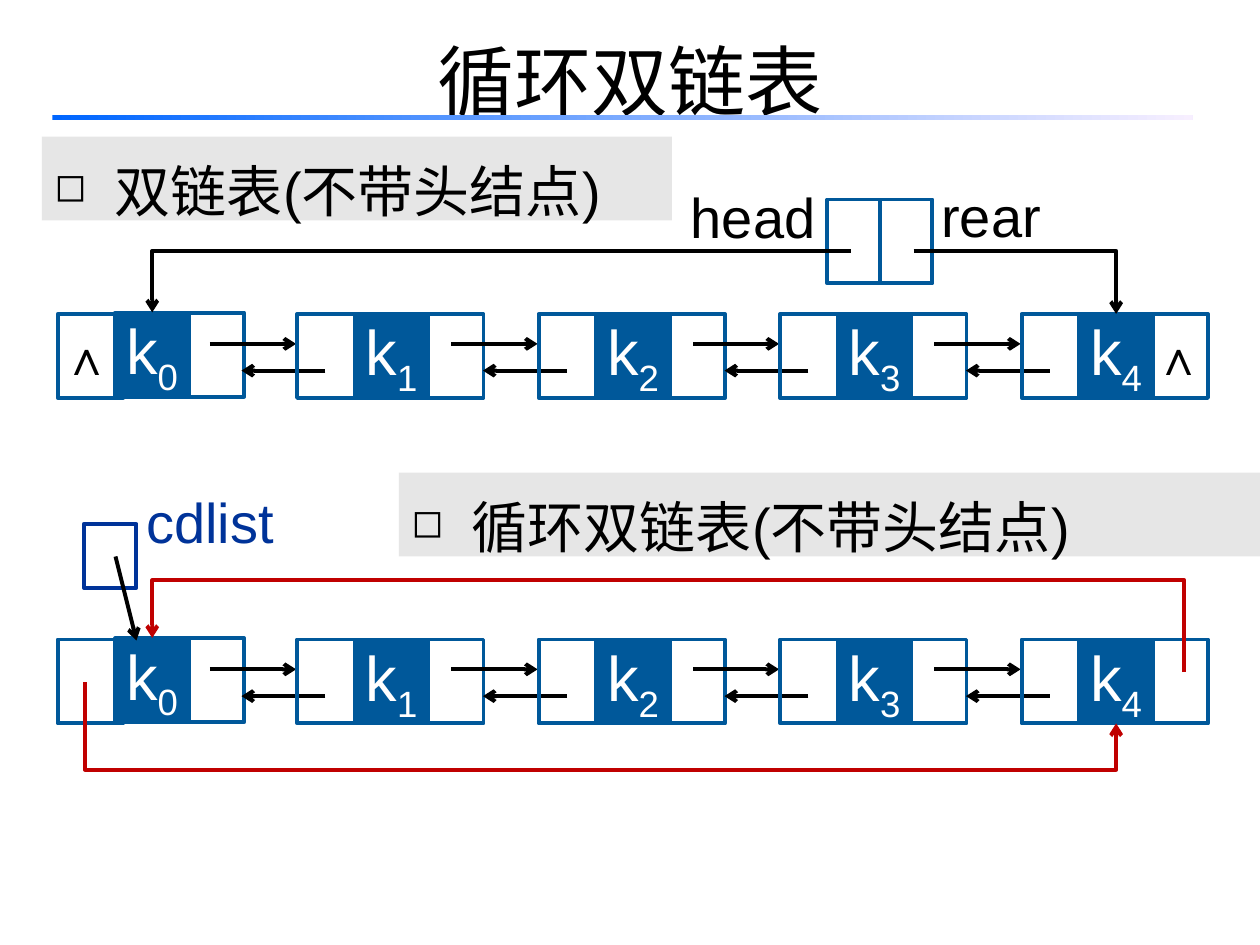
from dataclasses import dataclass

from lxml.etree import SubElement
from pptx import Presentation
from pptx.dml.color import RGBColor
from pptx.enum.shapes import MSO_CONNECTOR, MSO_SHAPE
from pptx.enum.text import MSO_ANCHOR, PP_ALIGN
from pptx.oxml.ns import qn
from pptx.util import Inches, Pt

BLACK = RGBColor(0x00, 0x00, 0x00)
WHITE = RGBColor(0xFF, 0xFF, 0xFF)
GREY = RGBColor(0xE6, 0xE6, 0xE6)
NODE_BLUE = RGBColor(0x00, 0x58, 0x9A)
LIST_BLUE = RGBColor(0x00, 0x33, 0x99)
RED = RGBColor(0xC0, 0x00, 0x00)
RULE_START = RGBColor(0x00, 0x66, 0xFF)
RULE_END = RGBColor(0xF7, 0xEF, 0xFF)

COLUMNS, ROWS = 120, 90
SLIDE_WIDTH, SLIDE_HEIGHT = Inches(10), Inches(7.5)
NODE_COUNT, NODE_PITCH, CELL_HEIGHT = 5, 23, 8
LINK_WIDTH, DATA_WIDTH = 6.25, 7
NULL_MARK = "∧"


@dataclass(frozen=True)
class Area:
    """A rectangle in grid columns and rows."""

    column: float
    row: float
    width: float
    height: float

    def lengths(self) -> tuple[int, int, int, int]:
        """Return left, top, width and height in slide units."""
        return (across(self.column), down(self.row),
                across(self.width), down(self.height))


@dataclass(frozen=True)
class Label:
    """Text with its look and an optional subscript."""

    text: str
    size: float
    color: RGBColor = BLACK
    align: PP_ALIGN = PP_ALIGN.CENTER
    font: str = "Arial"
    bold: bool = False
    subscript: str = ""
    spacing: float = 1.0
    wrap: bool = False
    anchor: MSO_ANCHOR = MSO_ANCHOR.MIDDLE


@dataclass(frozen=True)
class Route:
    """An arrow between two grid points, with bends and their adjustments."""

    start: tuple[float, float]
    end: tuple[float, float]
    color: RGBColor = BLACK
    preset: str = "line"
    bends: tuple[float, ...] = ()


def across(columns: float) -> int:
    """Convert grid columns to a length."""
    return round(SLIDE_WIDTH * columns / COLUMNS)


def down(rows: float) -> int:
    """Convert grid rows to a length."""
    return round(SLIDE_HEIGHT * rows / ROWS)


def write(frame, label: Label) -> None:
    """Fill a text frame with a label."""
    frame.word_wrap = label.wrap
    frame.vertical_anchor = label.anchor
    frame.text = label.text
    line = frame.paragraphs[0]
    line.alignment = label.align
    line.line_spacing = label.spacing
    if label.subscript:
        index = line.add_run()
        index.text = label.subscript
        index.font._element.set("baseline", "-25000")
    for run in line.runs:
        font = run.font
        font.name, font.size, font.bold = label.font, Pt(label.size), label.bold
        font.color.rgb = label.color
        SubElement(font._element, qn("a:ea"), typeface="Noto Sans CJK SC")


def draw_box(slide, area: Area, fill: RGBColor | None = None,
             outline: RGBColor | None = NODE_BLUE, label: Label | None = None):
    """Draw a rectangle with optional fill, outline and label."""
    box = slide.shapes.add_shape(MSO_SHAPE.RECTANGLE, *area.lengths())
    box.shadow.inherit = False
    if fill is None:
        box.fill.background()
    else:
        box.fill.solid()
        box.fill.fore_color.rgb = fill
    if outline is None:
        box.line.fill.background()
    else:
        box.line.color.rgb = outline
        box.line.width = Pt(2.25)
    if label:
        write(box.text_frame, label)
    return box


def draw_text(slide, area: Area, label: Label) -> None:
    """Place free-standing text that may use the full width of its area."""
    frame = slide.shapes.add_textbox(*area.lengths()).text_frame
    frame.margin_left = frame.margin_right = 0
    write(frame, label)


def draw_heading(slide, area: Area, text: str) -> None:
    """Draw a grey band with a bulleted heading."""
    label = Label(text, 32, align=PP_ALIGN.LEFT, spacing=1.2, wrap=True,
                  anchor=MSO_ANCHOR.TOP)
    band = draw_box(slide, area, GREY, None, label)
    properties = band.text_frame.paragraphs[0]._p.get_or_add_pPr()
    indent = Inches(0.38)
    properties.set("marL", str(indent))
    properties.set("indent", str(-indent))
    SubElement(properties, qn("a:buSzPct"), val="70000")
    SubElement(properties, qn("a:buChar"), char="◻")


def draw_arrow(slide, route: Route) -> None:
    """Draw a straight or bent arrow."""
    (x1, y1), (x2, y2) = route.start, route.end
    kind = MSO_CONNECTOR.ELBOW if route.preset != "line" else MSO_CONNECTOR.STRAIGHT
    arrow = slide.shapes.add_connector(
        kind, across(x1), down(y1), across(x2), down(y2))
    arrow.line.color.rgb = route.color
    arrow.line.width = Pt(2.25)
    properties = arrow._element.spPr
    SubElement(properties.find(qn("a:ln")), qn("a:tailEnd"), type="arrow")
    SubElement(properties, qn("a:effectLst"))
    if kind == MSO_CONNECTOR.STRAIGHT:
        return
    geometry = properties.find(qn("a:prstGeom"))
    geometry.set("prst", route.preset)
    adjustments = geometry.find(qn("a:avLst"))
    for number, bend in enumerate(route.bends, start=1):
        SubElement(adjustments, qn("a:gd"), name=f"adj{number}",
                   fmla=f"val {round(bend * 100000)}")
    if x2 < x1:
        frame = properties.find(qn("a:xfrm"))
        frame.set("rot", "10800000")
        frame.set("flipH", "0")
        frame.set("flipV", "1" if y2 > y1 else "0")


def draw_chain(slide, row: float, null_ends: bool) -> None:
    """Draw five doubly linked nodes and the arrows between them."""
    for index in range(NODE_COUNT):
        first, last = index == 0, index == NODE_COUNT - 1
        shift = NODE_PITCH * index
        left = shift + (5.5 if first else 5.3)
        top = row - 0.12 if first else row
        before = after = None
        if null_ends and first:
            before = Label(NULL_MARK, 28, align=PP_ALIGN.RIGHT, bold=True)
        if null_ends and last:
            after = Label(NULL_MARK, 28, align=PP_ALIGN.LEFT, bold=True)
        draw_box(slide, Area(left + 11.5, top, LINK_WIDTH, CELL_HEIGHT), label=after)
        draw_box(slide, Area(left + 5.5, top, DATA_WIDTH, CELL_HEIGHT), NODE_BLUE,
                 label=Label("k", 36, WHITE, subscript=str(index)))
        draw_box(slide, Area(left, row, LINK_WIDTH, CELL_HEIGHT), label=before)
        if not last:
            forward, back = row + 2.85, row + 5.4
            draw_arrow(slide, Route((20 + shift, forward), (28.2 + shift, forward)))
            draw_arrow(slide, Route((31 + shift, back), (23 + shift, back)))


def main() -> None:
    """Build the slide on circular doubly linked lists."""
    deck = Presentation()
    deck.slide_width, deck.slide_height = SLIDE_WIDTH, SLIDE_HEIGHT
    slide = deck.slides.add_slide(deck.slide_layouts[6])

    draw_heading(slide, Area(4, 13, 60, 8), " 双链表(不带头结点)")
    draw_heading(slide, Area(38, 45, 82, 8), " 循环双链表(不带头结点)")
    draw_text(slide, Area(6, -1, 108, 15), Label(
        "循环双链表", 44, font="Noto Sans CJK SC", spacing=1.25, wrap=True))
    rule = draw_box(slide, Area(5, 10.95, 108.6, 0.5), outline=None)
    rule.fill.gradient()
    rule.fill.gradient_angle = 0
    for stop, color in zip(rule.fill.gradient_stops, (RULE_START, RULE_END)):
        stop.color.rgb = color

    draw_chain(slide, 29.9, null_ends=True)
    for column in (78.8, 83.8):
        draw_box(slide, Area(column, 19, 5, 8))
    draw_arrow(slide, Route((81, 23.9), (14.5, 29.75), preset="bentConnector2"))
    draw_arrow(slide, Route((87, 23.9), (106.3, 29.9), preset="bentConnector2"))
    draw_text(slide, Area(65.6, 17, 12.25, 8), Label("head", 32, spacing=0.9))
    draw_text(slide, Area(87.8, 16.9, 13.2, 8), Label("rear", 32, spacing=0.9))

    draw_chain(slide, 60.9, null_ends=False)
    draw_box(slide, Area(8, 49.9, 5, 6.1), outline=LIST_BLUE)
    draw_text(slide, Area(12, 46, 16, 8), Label("cdlist", 32, LIST_BLUE, spacing=0.9))
    draw_arrow(slide, Route((112.8, 64), (14.5, 60.75), RED, "bentConnector4", (0, 2.69)))
    draw_arrow(slide, Route((11, 53), (13, 61)))
    draw_arrow(slide, Route((8.1, 65), (106.3, 68.9), RED, "bentConnector4", (0, 2.13)))

    deck.save("out.pptx")


if __name__ == "__main__":
    main()
